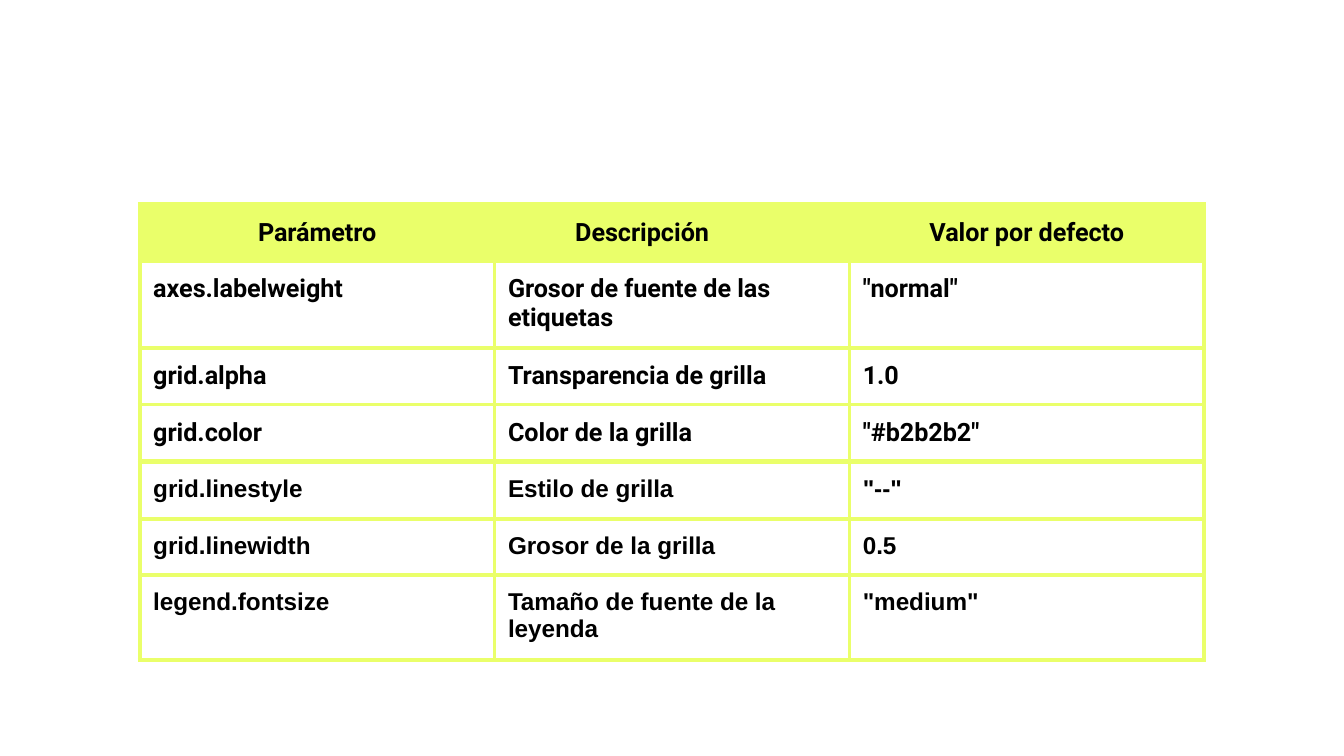
"""Build a slide listing style parameters, their descriptions and default values."""
from dataclasses import dataclass
from typing import Optional

from lxml.etree import SubElement
from pptx import Presentation
from pptx.dml.color import RGBColor
from pptx.enum.text import PP_ALIGN
from pptx.oxml.ns import qn
from pptx.slide import Slide
from pptx.table import _Cell
from pptx.util import Inches, Pt


@dataclass(frozen=True)
class Theme:
    accent: str = "EAFF6A"
    paper: str = "FFFFFF"
    ink: str = "000000"
    heading_size: float = 13.5
    body_size: float = 13
    border: float = 2.25
    padding: float = 0.1
    column_width: float = 2.64
    left: float = 1.04


@dataclass(frozen=True)
class ParameterTable:
    top: float
    font: str
    size: float
    rows: list[tuple[str, str, str]]
    heights: list[float]
    has_header: bool = False
    fill: Optional[str] = None


THEME = Theme()
TABLES = [
    ParameterTable(
        top=1.52,
        font="Roboto",
        size=THEME.heading_size,
        rows=[
            ("Parámetro", "Descripción", "Valor por defecto"),
            ("axes.labelweight", "Grosor de fuente de las etiquetas", '"normal"'),
            ("grid.alpha", "Transparencia de grilla", "1.0"),
            ("grid.color", "Color de la grilla", '"#b2b2b2"'),
        ],
        heights=[0.42, 0.65, 0.42, 0.42],
        has_header=True,
        fill=THEME.paper,
    ),
    ParameterTable(
        top=3.44,
        font="Arial",
        size=THEME.body_size,
        rows=[
            ("grid.linestyle", "Estilo de grilla", '"--"'),
            ("grid.linewidth", "Grosor de la grilla", "0.5"),
            ("legend.fontsize", "Tamaño de fuente de la leyenda", '"medium"'),
        ],
        heights=[0.42, 0.42, 0.63],
    ),
]


def add_borders(cell: _Cell) -> None:
    """Outline all four sides of a cell in the accent colour."""
    properties = cell._tc.get_or_add_tcPr()
    for side in ("a:lnL", "a:lnR", "a:lnT", "a:lnB"):
        line = SubElement(properties, qn(side), w=str(Pt(THEME.border)))
        fill = SubElement(line, qn("a:solidFill"))
        SubElement(fill, qn("a:srgbClr"), val=THEME.accent)


def format_cell(cell: _Cell, text: str, table: ParameterTable, fill: Optional[str]) -> None:
    """Write the text of a cell and set its font, margins, borders and fill."""
    cell.text_frame.text = text
    cell.margin_left = cell.margin_right = Inches(THEME.padding)
    cell.margin_top = cell.margin_bottom = Inches(THEME.padding)
    font = cell.text_frame.paragraphs[0].runs[0].font
    font.name, font.size, font.bold = table.font, Pt(table.size), True
    font.color.rgb = RGBColor.from_string(THEME.ink)
    add_borders(cell)
    if fill:
        cell.fill.solid()
        cell.fill.fore_color.rgb = RGBColor.from_string(fill)
    else:
        cell.fill.background()


def align_header(cell: _Cell, column: int) -> None:
    """Centre the outer headings and indent the middle one."""
    paragraph = cell.text_frame.paragraphs[0]
    if column == 1:
        properties = paragraph._p.get_or_add_pPr()
        properties.set("marL", str(Inches(0.5)))
        properties.set("indent", "0")
    else:
        paragraph.alignment = PP_ALIGN.CENTER


def add_parameter_table(slide: Slide, table: ParameterTable) -> None:
    """Draw one table of parameters on the slide."""
    column_count = len(table.rows[0])
    shape = slide.shapes.add_table(
        len(table.rows), column_count, Inches(THEME.left), Inches(table.top),
        Inches(THEME.column_width * column_count), Inches(sum(table.heights)),
    )
    grid = shape.table
    grid.first_row = grid.horz_banding = False
    for column in grid.columns:
        column.width = Inches(THEME.column_width)
    for row_index, (values, height) in enumerate(zip(table.rows, table.heights)):
        grid.rows[row_index].height = Inches(height)
        is_header = table.has_header and row_index == 0
        for column_index, value in enumerate(values):
            cell = grid.cell(row_index, column_index)
            format_cell(cell, value, table, THEME.accent if is_header else table.fill)
            if is_header:
                align_header(cell, column_index)


def main() -> None:
    """Create the widescreen presentation and save it."""
    presentation = Presentation()
    presentation.slide_width = Inches(10)
    presentation.slide_height = Inches(10) * 9 // 16
    slide = presentation.slides.add_slide(presentation.slide_layouts[6])
    for table in TABLES:
        add_parameter_table(slide, table)
    presentation.save("out.pptx")


if __name__ == "__main__":
    main()
